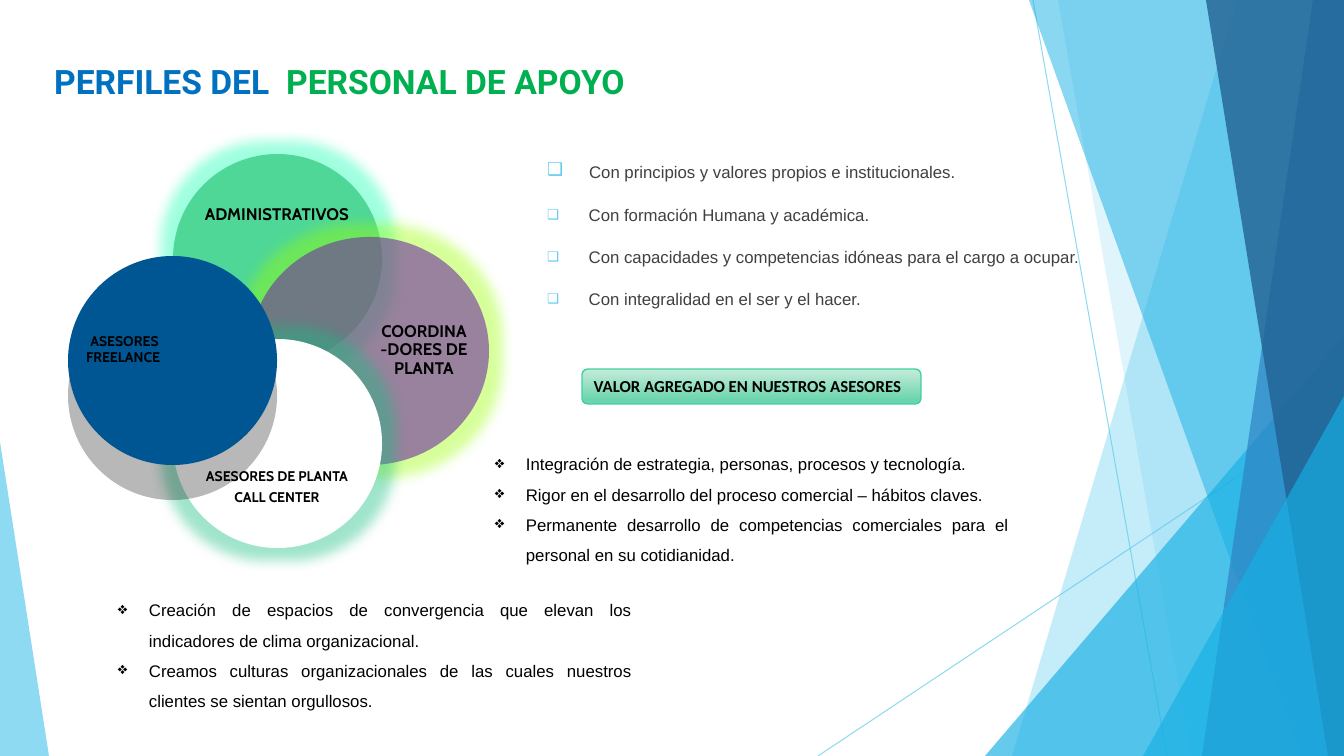
from dataclasses import dataclass

from lxml import etree
from pptx import Presentation, util as u
from pptx.dml.color import RGBColor
from pptx.enum import shapes, text
from pptx.oxml.ns import qn

PX = 9072  # EMU in one px
WIDTH, HEIGHT = 1344, 756


@dataclass(frozen=True)
class Theme:
    title_blue: str = "0070C0"
    title_green: str = "00B050"
    ink: str = "000000"
    grey: str = "404040"
    white: str = "FFFFFF"
    sky: str = "5FCBEF"
    cyan: str = "17B0E4"
    steel: str = "2E83C3"
    navy: str = "226292"
    purple: str = "7030A0"
    deep_blue: str = "005593"
    glow_mint: str = "10FFB0"
    glow_lime: str = "99FF00"
    glow_teal: str = "12BE7F"
    banner_top: str = "C5ECDB"
    banner_bottom: str = "6DD5AE"
    banner_line: str = "42D0A2"
    title_size: int = 24
    lead_size: int = 16
    body_size: int = 12
    small_size: int = 10


THEME = Theme()


def px(*lengths):
    return [u.Emu(length * PX) for length in lengths]


def add_xml(parent, tag, **attributes):
    values = {name: str(value) for name, value in attributes.items()}
    return etree.SubElement(parent, qn(tag), values)


def set_alpha(color_parent, percent):
    if percent < 100:
        add_xml(color_parent[0], "a:alpha", val=percent * 1000)


def paint(shape, color, alpha=100):
    shape.fill.solid()
    shape.fill.fore_color.rgb = RGBColor.from_string(color)
    set_alpha(shape._element.spPr.find(qn("a:solidFill")), alpha)
    shape.line.fill.background()
    shape.shadow.inherit = False


def add_effect(shape, tag, color, alpha, **attributes):
    effect = add_xml(shape._element.spPr.find(qn("a:effectLst")), tag, **attributes)
    add_xml(effect, "a:srgbClr", val=color)
    set_alpha(effect, alpha)


def write(frame, paragraphs, size=THEME.body_size, font="Arial", color=THEME.ink, bold=False,
          align=text.PP_ALIGN.LEFT, anchor=text.MSO_ANCHOR.TOP, line_spacing=1.0,
          before=0, after=0, inset=None, bullet=None, indent=0, bullet_color=None, bullet_size=100):
    """Fill a frame; each paragraph is a string or a list of (string, run overrides)."""
    frame.word_wrap = True
    frame.auto_size = text.MSO_AUTO_SIZE.NONE
    frame.vertical_anchor = anchor
    if inset is not None:
        frame.margin_left = frame.margin_right = frame.margin_top = frame.margin_bottom = inset
    for index, content in enumerate(paragraphs):
        paragraph = frame.add_paragraph() if index else frame.paragraphs[0]
        paragraph.alignment, paragraph.line_spacing = align, line_spacing
        paragraph.space_before, paragraph.space_after = u.Pt(before), u.Pt(after)
        if bullet:
            properties = paragraph._p.get_or_add_pPr()
            properties.set("marL", str(indent * PX))
            properties.set("indent", str(-indent * PX))
            if bullet_color:
                add_xml(add_xml(properties, "a:buClr"), "a:srgbClr", val=bullet_color)
            add_xml(properties, "a:buSzPct", val=bullet_size * 1000)
            add_xml(properties, "a:buChar", char=bullet)
        runs = [(content, {})] if isinstance(content, str) else content
        for words, changes in runs:
            style = {"size": size, "font": font, "color": color, **changes}
            run = paragraph.add_run()
            run.text = words
            run.font.size, run.font.name, run.font.bold = u.Pt(style["size"]), style["font"], bold
            run.font.color.rgb = RGBColor.from_string(style["color"])


def place(shape, box):
    shape.left, shape.top, shape.width, shape.height = px(*box)


def add_facets(slide, box):
    """Background of translucent slanted bands, behind everything else."""
    left, top, width, height = box
    right, bottom = left + width, top + height
    group = slide.shapes.add_group_shape()

    def line(*ends):
        connector = group.shapes.add_connector(shapes.MSO_CONNECTOR.STRAIGHT, *px(*ends))
        connector.line.width = u.Pt(0.75)
        connector.line.color.rgb = RGBColor.from_string(THEME.sky)
        properties = connector._element.spPr
        set_alpha(properties.find(qn("a:ln")).find(qn("a:solidFill")), 70)
        add_xml(properties, "a:effectLst")

    def band(top_x, bottom_x, color, alpha):
        builder = group.shapes.build_freeform(left + top_x, top, scale=PX)
        builder.add_line_segments([(right, top), (right, bottom), (left + bottom_x, bottom)])
        paint(builder.convert_to_shape(), color, alpha)

    def triangle(x, y, span, apex, color, alpha):
        shape = group.shapes.add_shape(shapes.MSO_SHAPE.ISOSCELES_TRIANGLE,
                                       *px(left + x, top + y, span, height - y))
        shape.adjustments[0] = apex
        paint(shape, color, alpha)

    line(left + 1033, top, left + 1167, bottom)
    line(right, top + 406, left + 818, bottom)
    band(1237, 1012, THEME.sky, 36)
    band(1058, 1191, THEME.sky, 20)
    triangle(985, 336, 359, 1, THEME.cyan, 66)
    band(1029, 1301, THEME.cyan, 50)
    band(1313, 1202, THEME.steel, 70)
    band(1206, 1328, THEME.navy, 80)
    triangle(1143, 396, 201, 1, THEME.cyan, 66)
    triangle(0, 442, 49, 0, THEME.sky, 70)
    slide.shapes._spTree.insert(2, group._element)


def add_title(slide, box):
    title = slide.shapes.title
    place(title, box)
    write(title.text_frame,
          [[("PERFILES DEL ", {}), (" PERSONAL DE APOYO", {"color": THEME.title_green})]],
          size=THEME.title_size, font="Roboto", color=THEME.title_blue, bold=True,
          anchor=text.MSO_ANCHOR.BOTTOM, line_spacing=0.8)


def add_principles(slide, box):
    body = slide.placeholders[1]
    place(body, box)
    lead = (" ", {"size": THEME.lead_size, "font": "Cabin"})
    write(body.text_frame,
          [[lead, ("Con principios y valores propios e institucionales. ", {})],
           " Con formación Humana y académica.",
           " Con capacidades y competencias idóneas para el cargo a ocupar.",
           " Con integralidad en el ser y el hacer."],
          color=THEME.grey, align=text.PP_ALIGN.JUSTIFY, line_spacing=1.4, before=10,
          bullet="❑", indent=37, bullet_color=THEME.sky, bullet_size=80)


def add_profiles(slide, box):
    """Four overlapping circles, each with its label."""
    left, top = box[:2]

    def circle(x, y, width, height, color, alpha=100, glow=None):
        shape = slide.shapes.add_shape(shapes.MSO_SHAPE.OVAL, *px(left + x, top + y, width, height))
        paint(shape, color, alpha)
        if glow:
            add_effect(shape, "a:glow", glow, 40, rad=25 * PX)
        return shape

    def label(x, y, width, height, *lines, size=THEME.body_size):
        label_box = slide.shapes.add_textbox(*px(left + x, top + y, width, height))
        write(label_box.text_frame, lines, size=size, font="Cabin", bold=True, inset=0,
              align=text.PP_ALIGN.CENTER, anchor=text.MSO_ANCHOR.MIDDLE,
              line_spacing=0.9, after=3.5)

    circle(105, 0, 209, 209, THEME.title_green, 50, THEME.glow_mint)
    label(129, 28, 160, 67, "ADMINISTRATIVOS")
    circle(182, 83, 239, 228, THEME.purple, 60, THEME.glow_lime)
    label(310, 109, 92, 175, "COORDINA-DORES DE PLANTA")
    circle(105, 185, 209, 209, THEME.white, glow=THEME.glow_teal)
    label(129, 300, 160, 67, "ASESORES DE PLANTA", "CALL CENTER", size=THEME.small_size)
    freelance = circle(0, 102, 209, 209, THEME.deep_blue)
    add_effect(freelance, "a:outerShdw", THEME.ink, 28, dist=35 * PX, dir=90 * 60000)
    label(16, 116, 81, 160, "ASESORES FREELANCE ", size=THEME.small_size)


def add_diamond_list(slide, box, items):
    list_box = slide.shapes.add_textbox(*px(*box))
    write(list_box.text_frame, items, align=text.PP_ALIGN.JUSTIFY, line_spacing=1.5,
          bullet="❖", indent=31)


def add_banner(slide, box):
    banner = slide.shapes.add_shape(shapes.MSO_SHAPE.FLOWCHART_ALTERNATE_PROCESS, *px(*box))
    banner.fill.gradient()
    banner.fill.gradient_angle = 270
    stops = [(0, THEME.banner_top), (0.88, THEME.banner_bottom)]
    for stop, (position, color) in zip(banner.fill.gradient_stops, stops):
        stop.position = position
        stop.color.rgb = RGBColor.from_string(color)
    banner.line.color.rgb = RGBColor.from_string(THEME.banner_line)
    banner.line.width = u.Pt(1)
    banner.shadow.inherit = False
    write(banner.text_frame, ["VALOR AGREGADO EN NUESTROS ASESORES"],
          font="Calibri", bold=True, after=8)


def main():
    presentation = Presentation()
    presentation.slide_width, presentation.slide_height = px(WIDTH, HEIGHT)
    slide = presentation.slides.add_slide(presentation.slide_layouts[1])
    add_facets(slide, (0, 0, WIDTH, HEIGHT))
    add_title(slide, (44, 52, 707, 54))
    add_principles(slide, (537, 140, 554, 176))
    add_profiles(slide, (68, 154, 422, 394))
    add_diamond_list(slide, (485, 439, 534, 129), [
        "Integración de estrategia, personas, procesos y tecnología.",
        "Rigor en el desarrollo del proceso comercial – hábitos claves.",
        "Permanente desarrollo de competencias comerciales para el personal en su cotidianidad."])
    add_diamond_list(slide, (108, 585, 534, 129), [
        "Creación de espacios de convergencia que elevan los indicadores de clima organizacional.",
        "Creamos culturas organizacionales de las cuales nuestros clientes se sientan orgullosos."])
    add_banner(slide, (582, 369, 339, 35))
    presentation.save("out.pptx")


if __name__ == "__main__":
    main()
